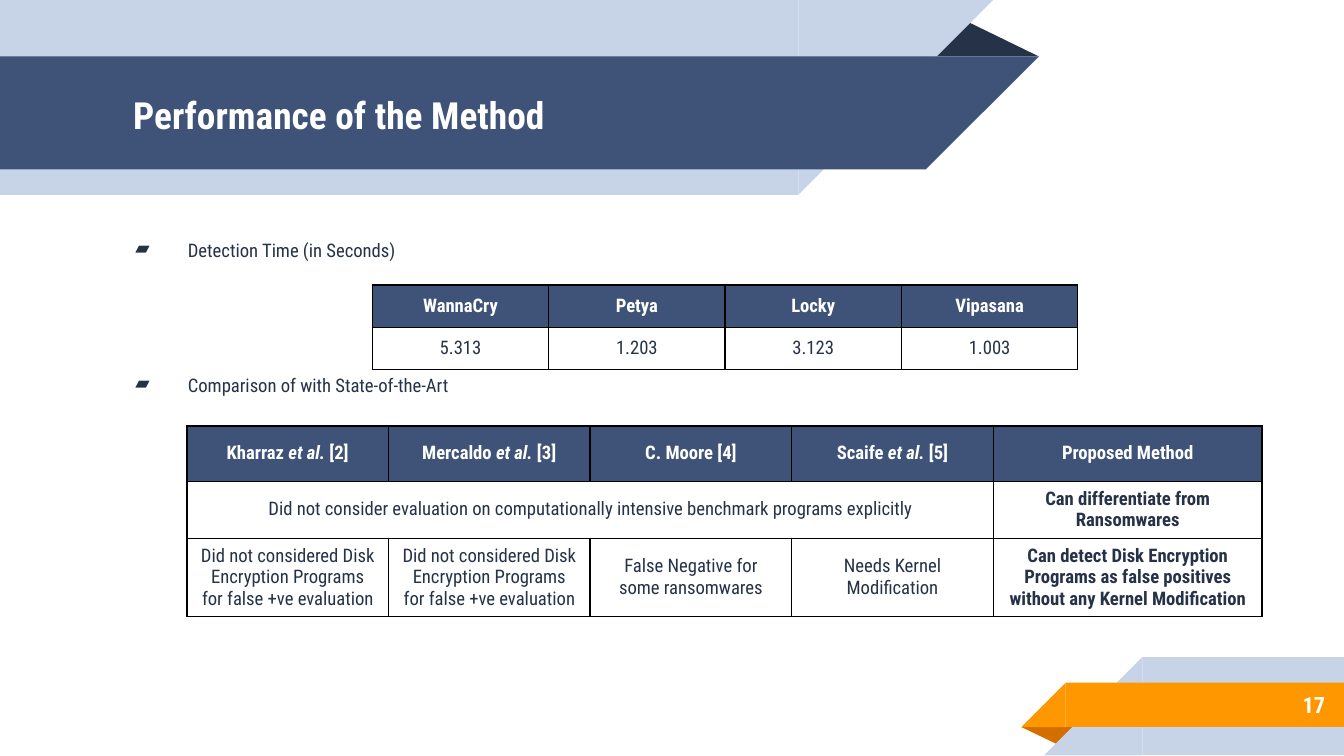
from lxml.etree import SubElement
from pptx import Presentation
from pptx.dml.color import RGBColor
from pptx.enum.shapes import MSO_SHAPE
from pptx.enum.text import MSO_ANCHOR, MSO_AUTO_SIZE, PP_ALIGN
from pptx.oxml import parse_xml
from pptx.oxml.ns import nsdecls, qn
from pptx.util import Inches, Pt

FONT = "Roboto Condensed"
ITALIC_PHRASE = "et al."
COLORS = {
    "navy": "3F5378",
    "dark": "263248",
    "pale": "C7D3E6",
    "orange": "FF9800",
    "rust": "D26F00",
    "white": "FFFFFF",
    "black": "000000",
}


def color(name):
    return RGBColor.from_string(COLORS[name])


def add_run(paragraph, text, size=10, fill="dark", bold=False, italic=False):
    run = paragraph.add_run()
    run.text = text
    run.font.name = FONT
    run.font.size = Pt(size)
    run.font.color.rgb = color(fill)
    run.font.bold = bold
    run.font.italic = italic


def format_frame(frame, anchor=MSO_ANCHOR.TOP):
    frame.word_wrap = True
    frame.auto_size = MSO_AUTO_SIZE.NONE
    frame.vertical_anchor = anchor
    frame.margin_left = frame.margin_right = Inches(0.1)
    frame.margin_top = frame.margin_bottom = Inches(0.1)


def add_block(slide, kind, box, fill, flip=None, rotation=0):
    shape = slide.shapes.add_shape(kind, *map(Inches, box))
    shape.shadow.inherit = False
    shape.fill.solid()
    shape.fill.fore_color.rgb = color(fill)
    shape.line.fill.background()
    shape.rotation = rotation
    if flip:
        shape._element.spPr.find(qn("a:xfrm")).set(flip, "1")
    return shape


def add_fold(slide, box, fill, rotation=0):
    fold = add_block(slide, MSO_SHAPE.ISOSCELES_TRIANGLE, box, fill, rotation=rotation)
    fold.adjustments[0] = 0.324


def add_header_band(slide, top, width, height, fill):
    add_block(slide, MSO_SHAPE.RECTANGLE, (0, top, width, height), fill)
    add_block(slide, MSO_SHAPE.RIGHT_TRIANGLE, (width, top, height, height), fill, flip="flipV")


def add_footer_band(slide, left, top, height, fill):
    add_block(slide, MSO_SHAPE.RECTANGLE, (left, top, 10 - left, height), fill)
    add_block(slide, MSO_SHAPE.RIGHT_TRIANGLE, (left - height, top, height, height), fill, flip="flipH")


def set_title(slide, text):
    title = slide.shapes.title
    title.left, title.top, title.width, title.height = map(Inches, (0.89, 0.43, 5.75, 0.84))
    slide.shapes._spTree.append(title._element)
    format_frame(title.text_frame, MSO_ANCHOR.MIDDLE)
    paragraph = title.text_frame.paragraphs[0]
    paragraph.alignment = PP_ALIGN.LEFT
    add_run(paragraph, text, size=20, fill="white", bold=True)


def add_page_number(slide, text):
    box = slide.shapes.add_textbox(*map(Inches, (8.33, 5.07, 1.63, 0.35)))
    format_frame(box.text_frame, MSO_ANCHOR.MIDDLE)
    paragraph = box.text_frame.paragraphs[0]
    paragraph.alignment = PP_ALIGN.RIGHT
    add_run(paragraph, text, size=12, fill="white", bold=True)


def add_bullets(slide, texts, gap):
    box = slide.shapes.add_textbox(*map(Inches, (0.8, 1.68, 5.84, 3.25)))
    frame = box.text_frame
    format_frame(frame)
    for index, text in enumerate(texts):
        paragraph = frame.add_paragraph() if index else frame.paragraphs[0]
        paragraph.alignment = PP_ALIGN.JUSTIFY
        if index:
            paragraph.space_before = Pt(gap)
        properties = paragraph._p.get_or_add_pPr()
        properties.set("marL", str(Inches(0.5)))
        properties.set("indent", str(Inches(-0.39)))
        SubElement(properties, qn("a:buChar")).set("char", "▰")
        add_run(paragraph, text)


def set_borders(cell, left_width):
    properties = cell._tc.get_or_add_tcPr()
    widths = {"lnL": left_width, "lnR": 0.75, "lnT": 0.75, "lnB": 0.75}
    for index, (side, width) in enumerate(widths.items()):
        properties.insert(index, parse_xml(
            f'<a:{side} {nsdecls("a")} w="{Pt(width)}"><a:solidFill>'
            f'<a:srgbClr val="{COLORS["black"]}"/></a:solidFill></a:{side}>'))


def fill_cell(cell, text, header, bold, margin, left_width):
    cell.vertical_anchor = MSO_ANCHOR.MIDDLE
    cell.margin_left = cell.margin_right = Inches(0.1)
    cell.margin_top = cell.margin_bottom = Inches(margin)
    if header:
        cell.fill.solid()
        cell.fill.fore_color.rgb = color("navy")
    else:
        cell.fill.background()
    set_borders(cell, left_width)
    paragraph = cell.text_frame.paragraphs[0]
    paragraph.alignment = PP_ALIGN.CENTER
    for part in text.partition(ITALIC_PHRASE):
        if part:
            add_run(paragraph, part, fill="white" if header else "dark",
                    bold=bold, italic=part == ITALIC_PHRASE)


def add_grid(slide, left, top, widths, heights, rows, margin=0.05, edge=0.75, bold_column=None):
    frame = slide.shapes.add_table(len(rows), len(widths), Inches(left), Inches(top),
                                   Inches(sum(widths)), Inches(sum(heights)))
    table = frame.table
    table.horz_banding = False
    for column, width in zip(table.columns, widths):
        column.width = Inches(width)
    for row, height in zip(table.rows, heights):
        row.height = Inches(height)
    for row_index, texts in enumerate(rows):
        for column_index, text in enumerate(texts):
            header = row_index == 0
            fill_cell(table.cell(row_index, column_index), text, header,
                      header or column_index == bold_column, margin,
                      0.75 if column_index else edge)
    return table


def main():
    presentation = Presentation()
    presentation.slide_width = Inches(10)
    presentation.slide_height = Inches(10 * 9 / 16)
    slide = presentation.slides.add_slide(presentation.slide_layouts[5])

    add_fold(slide, (6.88, 0.14, 0.85, 0.28), "dark")
    add_header_band(slide, 0, 5.94, 1.45, "pale")
    add_header_band(slide, 0.42, 6.89, 0.84, "navy")
    add_fold(slide, (7.6, 5.41, 0.43, 0.14), "rust", rotation=180)
    add_footer_band(slide, 8.5, 4.89, 0.73, "pale")
    add_footer_band(slide, 7.93, 5.08, 0.33, "orange")

    set_title(slide, "Performance of the Method")
    add_page_number(slide, "17")
    add_bullets(slide, ["Detection Time (in Seconds)", "Comparison of with State-of-the-Art"], gap=60)

    add_grid(slide, 2.77, 2.12, [5.25 / 4] * 4, [0.63 / 2] * 2, [
        ["WannaCry", "Petya", "Locky", "Vipasana"],
        ["5.313", "1.203", "3.123", "1.003"],
    ], margin=0.07)

    disk_gap = "Did not considered Disk Encryption Programs for false +ve evaluation"
    comparison = add_grid(slide, 1.39, 3.17, [1.5] * 4 + [2], [0.41, 0.42, 0.58], [
        ["Kharraz et al. [2]", "Mercaldo et al. [3]", "C. Moore [4]", "Scaife et al. [5]", "Proposed Method"],
        ["Did not consider evaluation on computationally intensive benchmark programs explicitly",
         "", "", "", "Can differentiate from Ransomwares"],
        [disk_gap, disk_gap, "False Negative for some ransomwares", "Needs Kernel Modification",
         "Can detect Disk Encryption Programs as false positives without any Kernel Modification"],
    ], edge=1, bold_column=4)
    comparison.cell(1, 0).merge(comparison.cell(1, 3))

    presentation.save("out.pptx")


if __name__ == "__main__":
    main()
